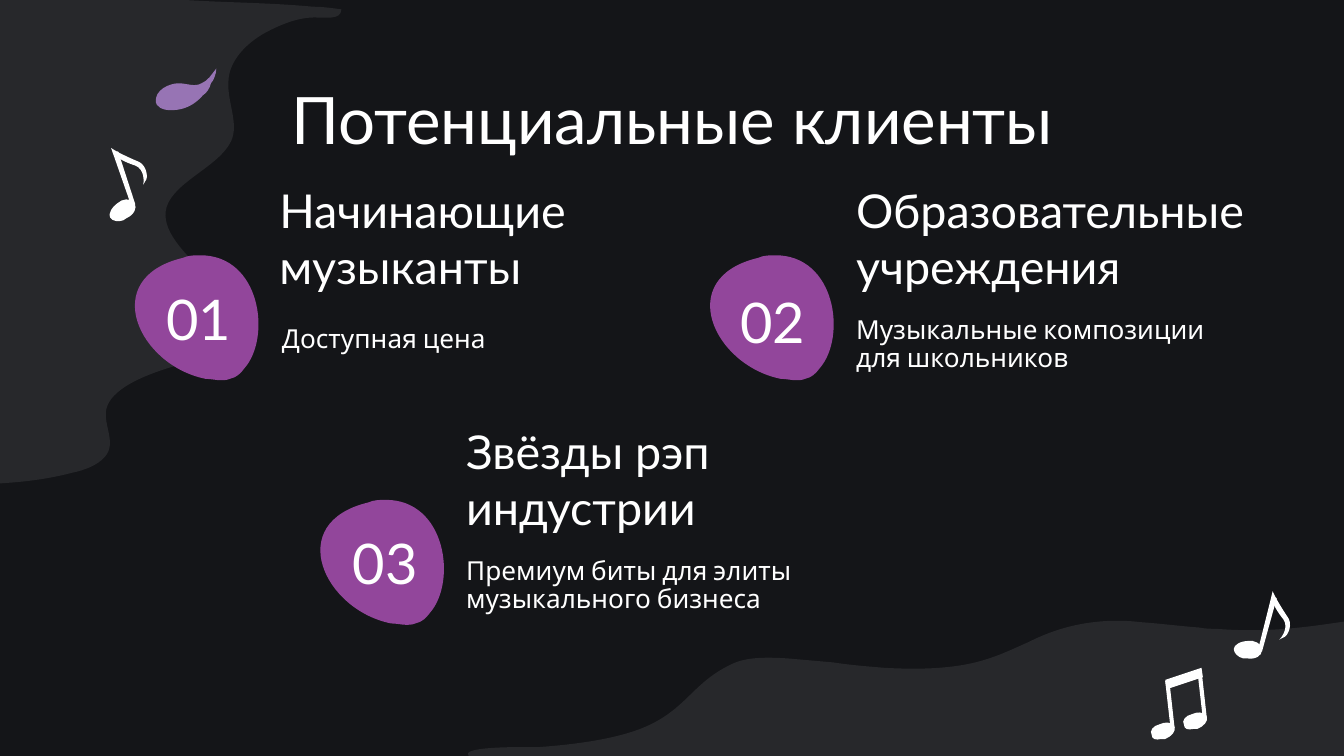
from dataclasses import dataclass
from math import cos, radians, sin

from lxml import etree
from pptx import Presentation
from pptx import util as u
from pptx.dml.color import RGBColor
from pptx.enum import text
from pptx.oxml.ns import qn


@dataclass(frozen=True)
class Theme:
    back: str = "141518"
    wave: str = "27282B"
    badge: str = "92469B"
    drop: str = "9774B4"
    ink: str = "FFFFFF"
    head_font: str = "Lato"
    body_font: str = "Cabin"
    title_size: int = 35
    number_size: int = 30
    head_size: int = 25
    body_size: int = 14


@dataclass(frozen=True)
class Place:
    x: float = 0
    y: float = 0
    angle: float = 0


@dataclass(frozen=True)
class Box:
    x: float
    y: float
    w: float
    h: float


@dataclass(frozen=True)
class Client:
    number: str
    head: str
    body: str
    badge: Place
    number_box: Box
    head_box: Box
    body_box: Box


THEME = Theme()
UNIT = u.Cm(0.0254)

LEFT_WAVE = """M -17 360 C -13 360 -9 360 -5 360 15 359 34 357 53 352 63 350 73 346 78 340
87 330 77 317 79 305 82 290 105 280 128 273 143 269 161 264 169 254 182 239 168 220 153 204
137 188 119 171 124 154 130 135 163 124 172 105 178 92 169 76 170 61 170 46 183 31 202 22
210 18 222 13 234 13 242 13 254 15 254 7 247 6 240 5 233 5 201 2 169 2 138 0
99 -3 61 -5 23 -7 18 -8 13 -8 8 -7 0 -5 -5 0 -8 4 -15 15 -19 26 -22 38
-29 65 -31 92 -35 120 -44 191 -64 263 -47 335 -45 343 -41 353 -30 357 -26 358 -22 359 -17 360"""
BOTTOM_WAVE = """M 1004 462 C 1011 474 1011 486 1012 498 1014 531 1016 564 1019 598
1019 600 1019 602 1016 603 1011 606 999 606 989 605 859 599 728 593 598 587
564 585 530 583 495 581 483 580 470 579 458 578 430 576 402 573 375 570
366 569 356 567 351 564 335 555 391 556 401 556 429 554 456 550 475 543
510 530 514 509 543 495 554 489 569 489 586 490 597 491 609 492 620 493
633 495 646 496 658 497 676 498 693 498 709 496 734 493 749 485 765 478
781 470 800 463 827 462 834 462 841 462 848 463 863 464 878 466 892 467
897 468 901 468 905 468 943 471 971 467 1004 462"""
BADGE = """M 149 190 C 145 190 140 190 136 192 73 207 103 272 153 282 157 282 161 283 164 283
166 283 169 283 171 282 176 281 179 278 182 274 202 251 194 190 149 190"""
DROP = """M 119 80 C 119 80 120 81 121 81 123 82 126 82 128 82 137 82 145 78 151 71
154 69 156 66 157 62 159 60 161 55 161 51 157 56 155 60 150 62 145 65 139 62 133 62
126 62 115 67 116 76 116 77 117 79 119 80"""
EIGHTH_NOTE = (
    """M -14 33 C -15 33 -16 33 -17 33 -23 33 -28 36 -28 39 -28 42 -25 45 -21 46
    -20 46 -19 46 -18 46 -12 47 -7 44 -7 40 -7 37 -9 34 -14 33""",
    "M 0 0 L -10 40 -7 41 4 1",
    """M 1 -4 L 0 0 C 1 6 5 12 9 17 13 23 8 30 6 32 6 32 8 31 10 30
    13 28 16 20 12 15 8 9 3 1 1 -4""",
)
BEAM_HEAD = """M 866 538 C 865 538 864 538 863 539 858 540 855 544 857 547 857 550 860 551 864 550
865 550 866 550 867 550 872 548 875 544 874 541 873 539 870 537 866 538"""
BEAM_STEM = "M 867 507 L 871 542 874 542 870 506"
BEAM = "M 894 497 L 867 506 868 513 895 504"


def client(number: str, head: str, body: str, badge: Place, number_at: tuple[float, float],
           head_at: tuple[float, float], body_at: tuple[float, float], head_w: float = 7.62) -> Client:
    return Client(number, head, body, badge, Box(*number_at, 2.03, 1.6),
                  Box(*head_at, head_w, 1.09), Box(*body_at, 7.62, 1.35))


CLIENTS = (
    client("01", "Начинающие музыканты", "Доступная цена",
           Place(), (2.74, 5.21), (5.03, 4.72), (5.08, 5.92)),
    client("02", "Образовательные учреждения", "Музыкальные композиции для школьников",
           Place(428, 0), (13.59, 5.28), (15.93, 4.72), (15.93, 5.74), 8.48),
    client("03", "Звёзды рэп индустрии", "Премиум биты для элиты музыкального бизнеса",
           Place(138, 182), (6.27, 9.83), (8.56, 9.27), (8.56, 10.29)),
)


def read_outline(d: str) -> tuple[list[tuple[float, float]], list[str]]:
    kinds, numbers, kind = [], [], ""
    for token in d.split():
        if token.isalpha():
            kind = token
        else:
            numbers.append(float(token))
            kinds.append(kind)
    return list(zip(numbers[::2], numbers[1::2])), kinds[::2]


def draw_outline(shapes, d: str, color: str, place: Place = Place()) -> None:
    points, kinds = read_outline(d)
    c, s = cos(radians(place.angle)), sin(radians(place.angle))
    points = [(UNIT * (place.x + x * c - y * s), UNIT * (place.y + x * s + y * c)) for x, y in points]
    builder = shapes.build_freeform(*points[0])
    builder.add_line_segments(points[1:], close=True)
    sp = builder.convert_to_shape()
    bend_lines(sp, kinds[1:])
    sp.shadow.inherit = False
    sp.fill.solid()
    sp.fill.fore_color.rgb = RGBColor.from_string(color)
    sp.line.fill.background()


def bend_lines(sp, kinds: list[str]) -> None:
    curve = None
    for line, kind in zip(list(sp._element.iter(qn("a:lnTo"))), kinds):
        if kind != "C":
            continue
        if curve is None or len(curve) == 3:
            curve = etree.Element(qn("a:cubicBezTo"))
            line.addprevious(curve)
        curve.append(line[0])
        line.getparent().remove(line)


def place_box(sp, box: Box) -> None:
    sp.left, sp.top, sp.width, sp.height = (u.Cm(v) for v in (box.x, box.y, box.w, box.h))


def write(sp, content: str, *, size: int, font: str = THEME.head_font, spacing: float = 1.0,
          align=text.PP_ALIGN.LEFT, anchor=text.MSO_ANCHOR.TOP) -> None:
    tf = sp.text_frame
    tf.word_wrap = True
    tf.auto_size = text.MSO_AUTO_SIZE.NONE
    tf.vertical_anchor = anchor
    tf.margin_left = tf.margin_right = tf.margin_top = tf.margin_bottom = u.Cm(0.25)
    p = tf.paragraphs[0]
    p.alignment = align
    p.line_spacing = spacing
    r = p.add_run()
    r.text = content
    r.font.size = u.Pt(size)
    r.font.name = font
    r.font.color.rgb = RGBColor.from_string(THEME.ink)


def add_text(shapes, box: Box, content: str, **style) -> None:
    sp = shapes.add_textbox(0, 0, 0, 0)
    place_box(sp, box)
    write(sp, content, **style)


def draw_client(shapes, item: Client) -> None:
    draw_outline(shapes, BADGE, THEME.badge, item.badge)
    add_text(shapes, item.number_box, item.number, size=THEME.number_size,
             align=text.PP_ALIGN.CENTER, anchor=text.MSO_ANCHOR.MIDDLE)
    add_text(shapes, item.head_box, item.head, size=THEME.head_size, anchor=text.MSO_ANCHOR.BOTTOM)
    add_text(shapes, item.body_box, item.body, size=THEME.body_size, font=THEME.body_font, spacing=0.9)


def draw_eighth_note(shapes, place: Place) -> None:
    group = shapes.add_group_shape()
    for part in EIGHTH_NOTE:
        draw_outline(group.shapes, part, THEME.ink, place)


def draw_beamed_notes(shapes) -> None:
    group = shapes.add_group_shape()
    for place in (Place(), Place(24, -7.5)):
        draw_outline(group.shapes, BEAM_HEAD, THEME.ink, place)
        draw_outline(group.shapes, BEAM_STEM, THEME.ink, place)
    draw_outline(group.shapes, BEAM, THEME.ink)


def main() -> None:
    prs = Presentation()
    prs.slide_width, prs.slide_height = u.Cm(25.4), u.Cm(14.29)
    slide = prs.slides.add_slide(prs.slide_layouts[5])
    slide.background.fill.solid()
    slide.background.fill.fore_color.rgb = RGBColor.from_string(THEME.back)
    shapes = slide.shapes
    place_box(shapes.title, Box(2.01, 1.24, 21.41, 1.6))
    write(shapes.title, "Потенциальные клиенты", size=THEME.title_size, align=text.PP_ALIGN.CENTER)
    for wave in (LEFT_WAVE, BOTTOM_WAVE):
        draw_outline(shapes, wave, THEME.wave)
    for item in CLIENTS:
        draw_client(shapes, item)
    draw_beamed_notes(shapes)
    draw_outline(shapes, DROP, THEME.drop)
    for place in (Place(946, 444), Place(84, 114, -33.3)):
        draw_eighth_note(shapes, place)
    prs.save("out.pptx")


if __name__ == "__main__":
    main()
